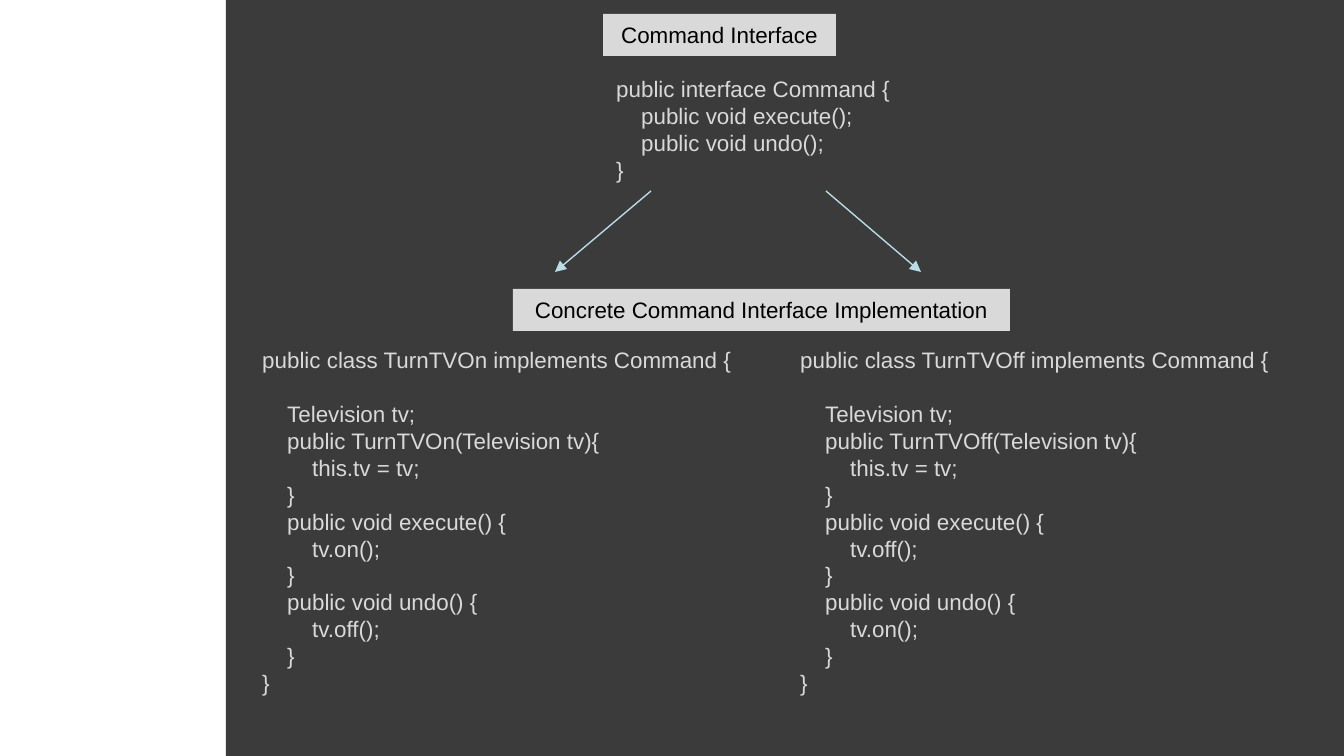
from dataclasses import dataclass

from lxml.etree import SubElement
from pptx import Presentation
from pptx.dml.color import RGBColor
from pptx.enum.shapes import MSO_CONNECTOR, MSO_SHAPE
from pptx.enum.text import MSO_ANCHOR, PP_ALIGN
from pptx.oxml.ns import qn
from pptx.slide import Slide
from pptx.util import Emu, Pt

SLIDE_WIDTH, SLIDE_HEIGHT = 1344, 756
EMU_PER_PX = 9144000 / SLIDE_WIDTH
INDENT = 25
LINE_HEIGHT = Pt(14.4)
FONT_NAME, FONT_SIZE = "Arial", Pt(12)

PANEL_COLOR = RGBColor(0x26, 0x26, 0x26)
LIGHT_GRAY = RGBColor(0xD9, 0xD9, 0xD9)
BLACK = RGBColor(0x00, 0x00, 0x00)
PALE_BLUE = RGBColor(0xB7, 0xDE, 0xE8)


@dataclass(frozen=True)
class Area:
    left: int
    top: int
    width: int
    height: int


@dataclass(frozen=True)
class Heading:
    text: str
    area: Area


@dataclass(frozen=True)
class CodeLine:
    text: str
    level: int = 0
    gap_before: bool = False


@dataclass(frozen=True)
class Listing:
    area: Area
    lines: list[CodeLine]


@dataclass(frozen=True)
class Arrow:
    start_x: int
    start_y: int
    end_x: int
    end_y: int


def px(length: int) -> Emu:
    return Emu(round(length * EMU_PER_PX))


def bounds(area: Area) -> tuple[Emu, Emu, Emu, Emu]:
    return px(area.left), px(area.top), px(area.width), px(area.height)


def add_span(para, text: str, color: RGBColor) -> None:
    span = para.add_run()
    span.text = text
    span.font.name = FONT_NAME
    span.font.size = FONT_SIZE
    span.font.color.rgb = color


def add_rectangle(page: Slide, area: Area, color: RGBColor):
    box = page.shapes.add_shape(MSO_SHAPE.RECTANGLE, *bounds(area))
    box.shadow.inherit = False
    box.fill.solid()
    box.fill.fore_color.rgb = color
    box.line.fill.background()
    return box


def draw_panel(page: Slide, area: Area) -> None:
    panel = add_rectangle(page, area, PANEL_COLOR)
    color = panel.fill._xPr.find(qn("a:solidFill"))[0]
    SubElement(color, qn("a:alpha")).set("val", "90000")


def draw_heading(page: Slide, heading: Heading) -> None:
    box = add_rectangle(page, heading.area, LIGHT_GRAY)
    frame = box.text_frame
    frame.word_wrap = True
    frame.vertical_anchor = MSO_ANCHOR.MIDDLE
    para = frame.paragraphs[0]
    para.alignment = PP_ALIGN.CENTER
    add_span(para, heading.text, BLACK)


def draw_listing(page: Slide, listing: Listing) -> None:
    frame = page.shapes.add_textbox(*bounds(listing.area)).text_frame
    frame.word_wrap = True
    for index, line in enumerate(listing.lines):
        para = frame.add_paragraph() if index else frame.paragraphs[0]
        para.line_spacing = LINE_HEIGHT
        para.space_before = LINE_HEIGHT if line.gap_before else Pt(0)
        properties = para._p.get_or_add_pPr()
        properties.set("marL", str(px(line.level * INDENT)))
        properties.set("indent", "0")
        add_span(para, line.text, LIGHT_GRAY)


def draw_arrow(page: Slide, arrow: Arrow) -> None:
    connector = page.shapes.add_connector(
        MSO_CONNECTOR.STRAIGHT,
        px(arrow.start_x), px(arrow.start_y), px(arrow.end_x), px(arrow.end_y),
    )
    connector.line.color.rgb = PALE_BLUE
    connector.line.width = Pt(0.75)
    SubElement(connector.line._get_or_add_ln(), qn("a:tailEnd")).set("type", "triangle")
    SubElement(connector._element.spPr, qn("a:effectLst"))


def command_class(name: str, execute_call: str, undo_call: str) -> list[CodeLine]:
    return [
        CodeLine(f"public class {name} implements Command {{"),
        CodeLine("Television tv;", 1, gap_before=True),
        CodeLine(f"public {name}(Television tv){{", 1),
        CodeLine("this.tv = tv;", 2),
        CodeLine("}", 1),
        CodeLine("public void execute() {", 1),
        CodeLine(f"tv.{execute_call}();", 2),
        CodeLine("}", 1),
        CodeLine("public void undo() {", 1),
        CodeLine(f"tv.{undo_call}();", 2),
        CodeLine("}", 1),
        CodeLine("}"),
    ]


INTERFACE = [
    CodeLine("public interface Command {"),
    CodeLine("public void execute();", 1),
    CodeLine("public void undo();", 1),
    CodeLine("}"),
]

LISTINGS = [
    Listing(Area(249, 340, 1060, 378), command_class("TurnTVOn", "on", "off")),
    Listing(Area(787, 340, 542, 367), command_class("TurnTVOff", "off", "on")),
    Listing(Area(603, 69, 319, 122), INTERFACE),
]

HEADINGS = [
    Heading("Command Interface", Area(603, 14, 233, 42)),
    Heading("Concrete Command Interface Implementation", Area(513, 289, 497, 42)),
]

ARROWS = [Arrow(651, 191, 555, 272), Arrow(826, 191, 921, 272)]


def main() -> None:
    deck = Presentation()
    deck.slide_width, deck.slide_height = px(SLIDE_WIDTH), px(SLIDE_HEIGHT)
    page = deck.slides.add_slide(deck.slide_layouts[6])

    # Dark panel behind the code
    draw_panel(page, Area(226, 0, SLIDE_WIDTH - 226, SLIDE_HEIGHT))

    # Code and its headings
    for listing in LISTINGS:
        draw_listing(page, listing)
    for heading in HEADINGS:
        draw_heading(page, heading)

    # Interface to implementations
    for arrow in ARROWS:
        draw_arrow(page, arrow)

    deck.save("out.pptx")


if __name__ == "__main__":
    main()
